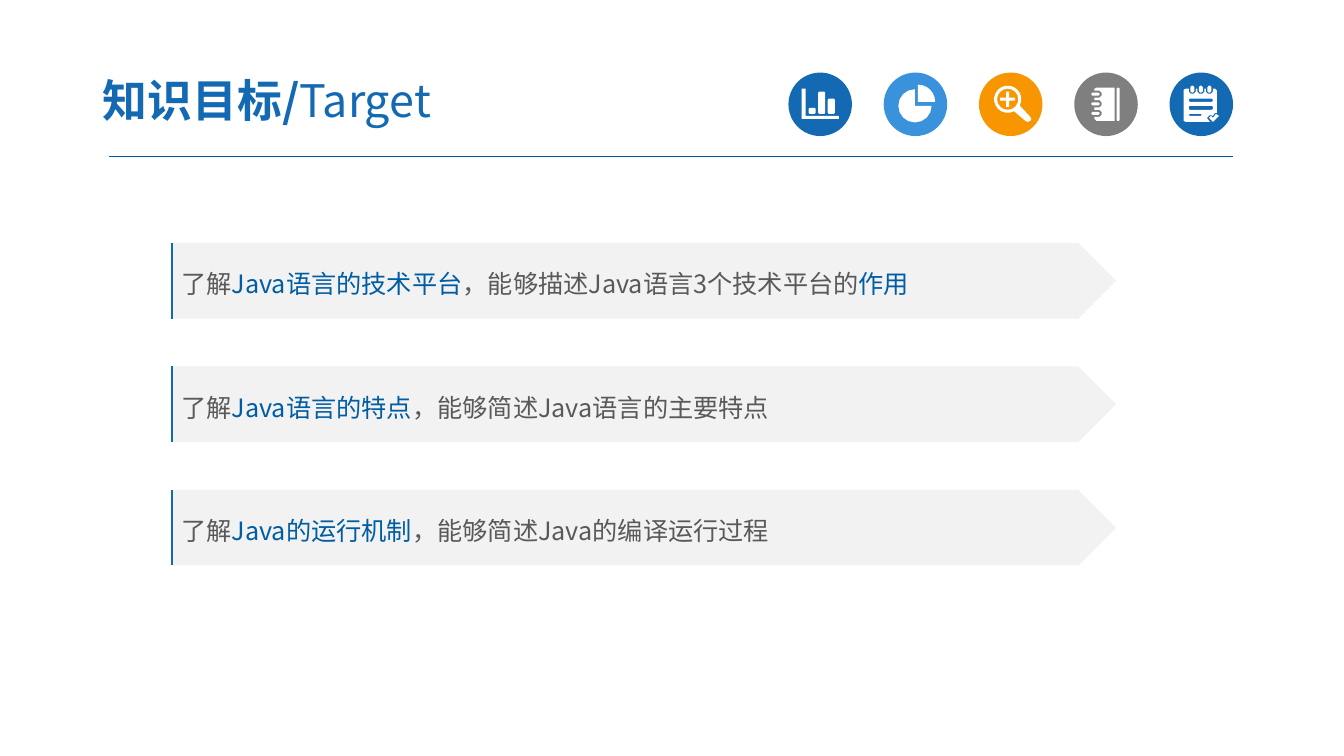
from math import cos, radians, sin
from lxml.etree import SubElement
from pptx import Presentation
from pptx.dml.color import RGBColor
from pptx.enum.shapes import MSO_CONNECTOR, MSO_SHAPE
from pptx.enum.text import MSO_ANCHOR, PP_ALIGN
from pptx.oxml.ns import qn
from pptx.util import Inches, Pt

FONT = "Noto Sans CJK SC"
HUES = {"blue": "1369B2", "sky": "3992DB", "gold": "F79600", "gray": "7F7F7F",
        "white": "FFFFFF", "pale": "F2F2F2", "text": "595959", "key": "005DA2",
        "rule": "005B9E"}
DISC = 0.63


def hue(name):
    return RGBColor.from_string(HUES[name])


def paint(shape, color):
    shape.shadow.inherit = False
    shape.fill.solid()
    shape.fill.fore_color.rgb = hue(color)
    shape.line.fill.background()
    return shape


def draw(shapes, kind, box, color):
    return paint(shapes.add_shape(kind, *map(Inches, box)), color)


def write(frame, runs, size, space=None):
    frame.word_wrap = True
    frame.vertical_anchor = MSO_ANCHOR.MIDDLE
    para = frame.paragraphs[0]
    para.alignment = PP_ALIGN.LEFT
    if space:
        para.line_spacing = space
    for text, color, bold in runs:
        run = para.add_run()
        run.text = text
        run.font.size = Pt(size)
        run.font.name = FONT
        run.font.bold = bold
        run.font.color.rgb = hue(color)
        SubElement(run._r.get_or_add_rPr(), qn("a:ea"), typeface=FONT)


def bar(x, y, width, height, cut=0.01):
    right, low = x + width, y + height
    return [(x + cut, y), (right - cut, y), (right, y + cut), (right, low - cut),
            (right - cut, low), (x + cut, low), (x, low - cut), (x, y + cut)]


def arc(x, y, size, start, end, count=12):
    turns = [radians(start + (end - start) * i / count) for i in range(count + 1)]
    return [(x + size * cos(t), y + size * sin(t)) for t in turns]


def chart():
    axis = [(0.13, 0.16), (0.17, 0.16), (0.17, 0.43), (0.5, 0.43), (0.5, 0.46), (0.13, 0.46)]
    bars = [bar(0.2 + i * 0.095, 0.41 - tall, 0.07, tall)
            for i, tall in enumerate((0.06, 0.22, 0.15))]
    return [axis] + bars


def pie():
    return [[(0.34, 0.29)] + arc(0.34, 0.29, 0.17, -90, 0, 6),
            [(0.31, 0.33)] + arc(0.31, 0.33, 0.165, 0, 270)]


def lens():
    x, y, thin, far = 0.285, 0.265, 0.015, 0.075
    rim = arc(x, y, 0.135, 62, 388, 18)
    grip = [(0.5, 0.43), (0.52, 0.46), (0.51, 0.48), (0.48, 0.49), (0.46, 0.48)]
    plus = []
    for a, b in ((1, 0), (0, 1), (-1, 0), (0, -1)):
        plus += [(x + a * u - b * v, y + b * u + a * v)
                 for u, v in ((far, -thin), (far, thin), (thin, thin))]
    return [rim + grip, arc(x, y, 0.105, 0, 360, 16), plus]


def book():
    cover = [(0.2, 0.46), (0.22, 0.48), (0.4, 0.48), (0.4, 0.15), (0.22, 0.15), (0.2, 0.16)]
    tabs = []
    for i in range(3):
        top = 0.18 + i * 0.095
        cover += [(0.2, top), (0.25, top), (0.27, top + 0.02), (0.27, top + 0.05),
                  (0.25, top + 0.07), (0.2, top + 0.07)]
        tabs.append(bar(0.17, top + 0.02, 0.08, 0.03))
    return [cover, bar(0.42, 0.15, 0.03, 0.33)] + tabs


def pad():
    page, tabs = [(0.14, 0.17), (0.16, 0.16)], []
    for i in range(3):
        x = 0.19 + i * 0.085
        page += [(x, 0.16), (x, 0.19), (x + 0.02, 0.21), (x + 0.05, 0.21),
                 (x + 0.07, 0.19), (x + 0.07, 0.16)]
        tabs.append(bar(x + 0.015, 0.13, 0.04, 0.07, 0.015))
    page += [(0.45, 0.16), (0.47, 0.18), (0.47, 0.4), (0.45, 0.4), (0.43, 0.43),
             (0.4, 0.42), (0.37, 0.45), (0.4, 0.49), (0.16, 0.49), (0.14, 0.48)]
    rows = [bar(0.19, y, width, tall) for y, width, tall in
            ((0.26, 0.24, 0.03), (0.33, 0.24, 0.04), (0.41, 0.13, 0.02))]
    tick = [(0.39, 0.45), (0.41, 0.43), (0.43, 0.45), (0.46, 0.41), (0.49, 0.43), (0.43, 0.49)]
    return [page, tick] + rows + tabs


def icon(slide, x, y, color, rings):
    group = slide.shapes.add_group_shape().shapes
    draw(group, MSO_SHAPE.OVAL, (x, y, DISC, DISC), color)
    pen = None
    for ring in rings:
        spots = [(Inches(x + a), Inches(y + b)) for a, b in ring]
        if pen:
            pen.move_to(*spots[0])
        else:
            pen = group.build_freeform(*spots[0])
        pen.add_line_segments(spots[1:], close=True)
    paint(pen.convert_to_shape(), "white")


def header(slide, x, y, width):
    ends = (x, y + 0.92, x + width, y + 0.92)
    rule = slide.shapes.add_connector(MSO_CONNECTOR.STRAIGHT, *map(Inches, ends))
    rule.line.color.rgb = hue("rule")
    rule.line.width = Pt(0.75)
    SubElement(rule._element.spPr, qn("a:effectLst"))
    step = 0.945
    first = x + width - DISC - 4 * step
    icons = [("blue", chart), ("sky", pie), ("gold", lens), ("gray", book), ("blue", pad)]
    for i, (color, form) in enumerate(icons):
        icon(slide, first + i * step, y + 0.09, color, form())
    box = slide.shapes.add_textbox(*map(Inches, (x - 0.19, y, 5.22, 0.72)))
    frame = box.text_frame
    frame.margin_left = frame.margin_right = Inches(0.13)
    frame.margin_top = frame.margin_bottom = Inches(0.07)
    write(frame, [("知识目标/", "blue", True), ("Target", "blue", False)], 32)


def goal(slide, x, y, width, height, runs):
    group = slide.shapes.add_group_shape().shapes
    plate = draw(group, MSO_SHAPE.PENTAGON, (x, y, width, height), "pale")
    pairs = [(text, "key" if n % 2 else "text", False) for n, text in enumerate(runs)]
    write(plate.text_frame, pairs, 18, space=1.2)
    left, top, low = Inches(x + 0.01), Inches(y), Inches(y + height)
    pen = group.build_freeform(left + Inches(0.13), top)
    pen.move_to(left, low)
    pen.add_line_segments([(left, top)], close=False)
    edge = pen.convert_to_shape()
    edge.shadow.inherit = False
    edge.fill.background()
    edge.line.color.rgb = hue("blue")
    edge.line.width = Pt(1.5)


def main():
    deck = Presentation()
    deck.slide_width = Inches(13.33)
    deck.slide_height = Inches(7.5)
    slide = deck.slides.add_slide(deck.slide_layouts[6])
    header(slide, 1.08, 0.63, 11.15)
    goals = [
        ("了解", "Java语言的技术平台", "，能够描述Java语言3个技术平台的", "作用"),
        ("了解", "Java语言的特点", "，能够简述Java语言的主要特点"),
        ("了解", "Java的运行机制", "，能够简述Java的编译运行过程"),
    ]
    for i, runs in enumerate(goals):
        goal(slide, 1.7, 2.41 + i * 1.225, 9.37, 0.75, runs)
    deck.save("out.pptx")


if __name__ == "__main__":
    main()
